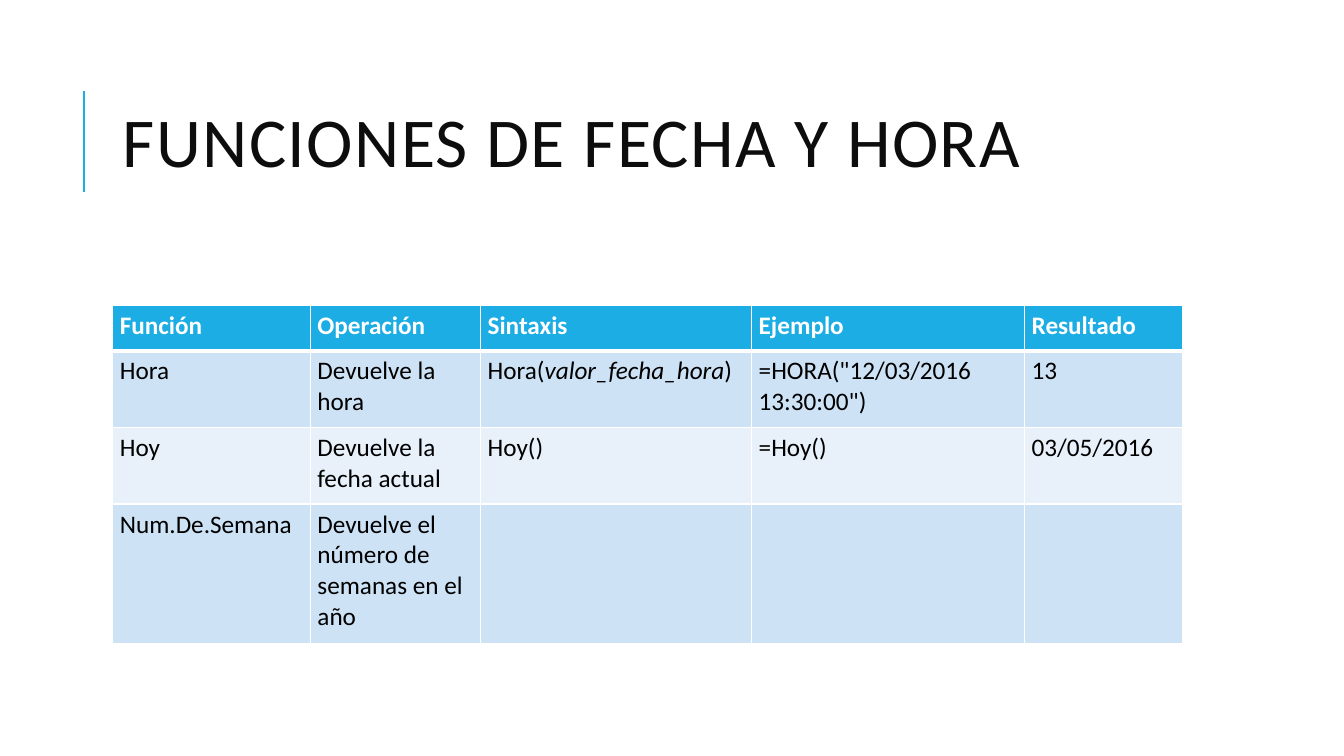
from lxml import etree
from pptx import Presentation
from pptx.dml.color import RGBColor
from pptx.enum.shapes import MSO_CONNECTOR
from pptx.enum.text import MSO_ANCHOR, PP_ALIGN
from pptx.oxml.ns import qn
from pptx.util import Cm, Pt

FONT = "Calibri"
ACCENT, WHITE, BLACK, TITLE_INK = "1CADE4", "FFFFFF", "000000", "0D0D0D"
BANDS = ("CDE3F5", "E8F1FA")

COLUMNS = (4.98, 4.29, 6.83, 6.88, 3.99)
ROWS = (1.14, 1.93, 1.93, 3.51)
# A cell is a string, or a tuple whose every second part is italic
FUNCTIONS = (
    ("Función", "Operación", "Sintaxis", "Ejemplo", "Resultado"),
    ("Hora", "Devuelve la hora", ("Hora(", "valor_fecha_hora", ")"),
     '=HORA("12/03/2016 13:30:00")', "13"),
    ("Hoy", "Devuelve la fecha actual", "Hoy()", "=Hoy()", "03/05/2016"),
    ("Num.De.Semana", "Devuelve el número de semanas en el año", "", "", ""),
)


def paint(color_format, color):
    color_format.rgb = RGBColor.from_string(color)


def style_font(font, size, color, bold=False):
    font.name, font.size, font.bold = FONT, Pt(size), bold
    paint(font.color, color)


def add_title(s, text, left, top, width, height):
    # Accent rule beside the title
    x = left - 0.73
    rule = s.shapes.add_connector(MSO_CONNECTOR.STRAIGHT, Cm(x), Cm(top + 3.2),
                                  Cm(x), Cm(top + 0.66))
    paint(rule.line.color, ACCENT)
    rule.line.width = Pt(1.5)
    etree.SubElement(rule._element.spPr, qn("a:effectLst"))

    # Title text
    sp = s.shapes.title
    sp.left, sp.top, sp.width, sp.height = map(Cm, (left, top, width, height))
    tf = sp.text_frame
    tf.vertical_anchor = MSO_ANCHOR.MIDDLE
    tf.text = text
    p = tf.paragraphs[0]
    p.alignment, p.line_spacing = PP_ALIGN.LEFT, 0.8
    style_font(p.font, 50, TITLE_INK)
    p.runs[0].font._element.set("spc", "100")


def set_borders(cell, widths):
    tc_pr = cell._tc.get_or_add_tcPr()
    for i, (side, width) in enumerate(zip("LRTB", widths)):
        ln = etree.Element(qn(f"a:ln{side}"), w=str(Pt(width)))
        fill = etree.SubElement(ln, qn("a:solidFill"))
        etree.SubElement(fill, qn("a:srgbClr"), val=WHITE)
        tc_pr.insert(i, ln)


def fill_cell(cell, content, row):
    header = row == 0
    cell.fill.solid()
    paint(cell.fill.fore_color, ACCENT if header else BANDS[(row - 1) % 2])
    set_borders(cell, (1, 1, 3 if row == 1 else 1, 3 if header else 1))
    cell.margin_left = cell.margin_right = Cm(0.18)
    cell.margin_top = cell.margin_bottom = Cm(0.13)
    p = cell.text_frame.paragraphs[0]
    style_font(p.font, 18, WHITE if header else BLACK, header)
    parts = (content,) if isinstance(content, str) else content
    for i, part in enumerate(filter(None, parts)):
        r = p.add_run()
        r.text = part
        if i % 2:
            r.font.italic = True


def add_function_table(s, left, top):
    frame = s.shapes.add_table(len(ROWS), len(COLUMNS), Cm(left), Cm(top),
                               Cm(sum(COLUMNS)), Cm(sum(ROWS)))
    table = frame.table
    for column, width in zip(table.columns, COLUMNS):
        column.width = Cm(width)
    for i, (row, height) in enumerate(zip(table.rows, ROWS)):
        row.height = Cm(height)
        for cell, content in zip(row.cells, FUNCTIONS[i]):
            fill_cell(cell, content, i)


prs = Presentation()
prs.slide_width, prs.slide_height = Cm(33.87), Cm(19.05)
s = prs.slides.add_slide(prs.slide_layouts[5])  # Title only
add_title(s, "FUNCIONES DE FECHA Y HORA", 2.84, 1.63, 27, 4.17)
add_function_table(s, 2.84, 7.7)
prs.save("out.pptx")
